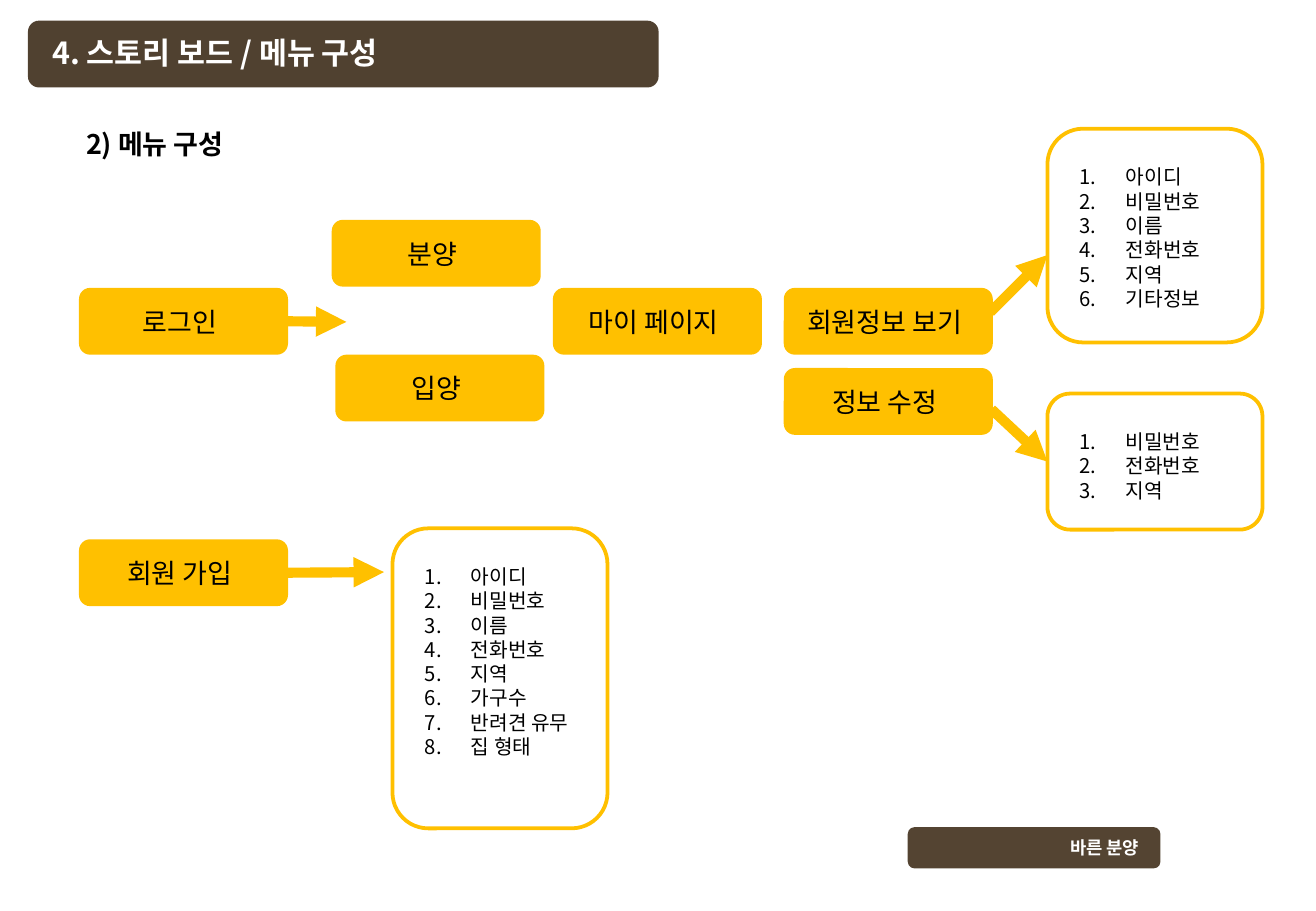
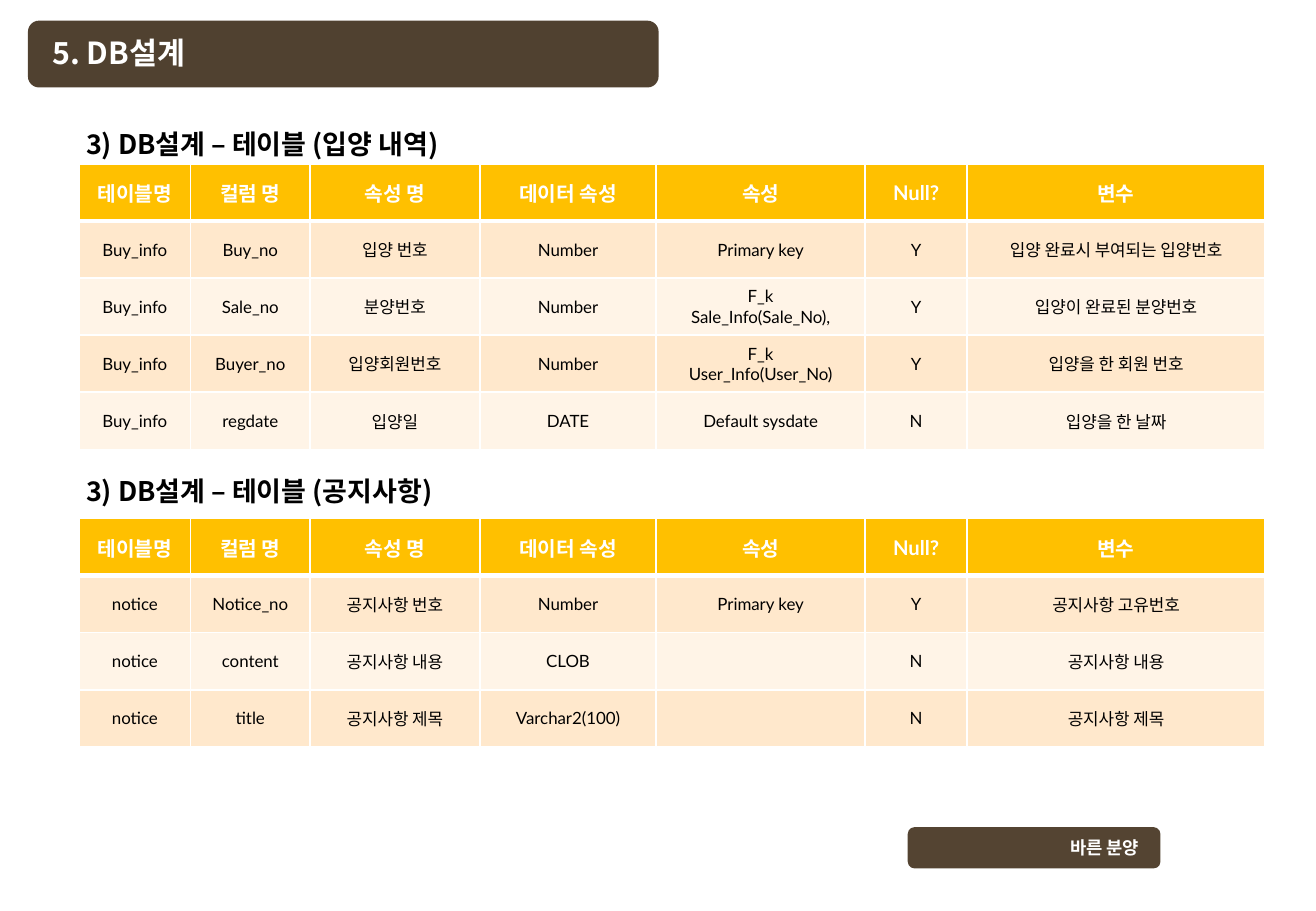
from dataclasses import dataclass

import pptx
import pptx.chart.data
import pptx.dml.color
import pptx.enum.shapes
import pptx.enum.text
import pptx.oxml.ns
import pptx.util
from lxml import etree

SHAPE = pptx.enum.shapes.MSO_SHAPE
ALIGN = pptx.enum.text.PP_ALIGN
ANCHOR = pptx.enum.text.MSO_ANCHOR
EMU_PER_PX = 9144  # 100 px to the inch


@dataclass(frozen=True)
class Theme:
    band: str = "504130"
    footer: str = "544432"
    accent: str = "FFC000"
    stripes: tuple[str, str] = ("FFE8CC", "FFF4E7")
    ink: str = "000000"
    paper: str = "FFFFFF"
    font: str = "Noto Sans CJK KR"
    table_font: str = "Lato"
    title_size: float = 18
    heading_size: float = 16
    list_size: float = 12
    header_size: float = 12
    cell_size: float = 10
    footer_size: float = 10.5


THEME = Theme()


@dataclass(frozen=True)
class Box:
    left: int
    top: int
    width: int
    height: int

    def emu(self) -> tuple[int, ...]:
        return tuple(map(px, (self.left, self.top, self.width, self.height)))


@dataclass(frozen=True)
class Menu:
    label: str
    left: int
    top: int


@dataclass(frozen=True)
class FieldList:
    box: Box
    fields: tuple[str, ...]


@dataclass(frozen=True)
class Arrow:
    """Ends joined to a shape's side are named; the others are free points."""
    start: tuple[int, int]
    end: tuple[int, int]
    from_menu: str = ""
    to_list: int = -1


@dataclass(frozen=True)
class DbTable:
    heading: str
    heading_top: int
    top: int
    rows: tuple[tuple[str, ...], ...]


BAND = Box(23, 17, 519, 55)
TITLE = Box(33, 23, 324, 40)
FOOTER = Box(747, 681, 208, 34)
MENU_SIZE = (172, 55)

MENUS = (
    Menu("로그인", 65, 237),
    Menu("회원 가입", 65, 444),
    Menu("분양", 273, 181),
    Menu("입양", 276, 292),
    Menu("마이 페이지", 455, 237),
    Menu("회원정보 보기", 645, 237),
    Menu("정보 수정", 645, 303),
)
MEMBER_FIELDS = ("아이디", "비밀번호", "이름", "전화번호", "지역")
FIELD_LISTS = (
    FieldList(Box(323, 435, 177, 247), MEMBER_FIELDS + ("가구수", "반려견 유무", "집 형태")),
    FieldList(Box(862, 106, 177, 176), MEMBER_FIELDS + ("기타정보",)),
    FieldList(Box(862, 324, 177, 112), ("비밀번호", "전화번호", "지역")),
)
ARROWS = (
    Arrow((237, 471), (316, 471), from_menu="회원 가입"),
    Arrow((815, 257), (862, 210)),
    Arrow((816, 337), (862, 380), to_list=2),
    Arrow((237, 264), (285, 265), from_menu="로그인"),
)

TABLE_LEFT = 65
ROW_HEIGHT = 47
COLUMN_WIDTHS = (92, 98, 140, 145, 172, 84, 245)
HEADER = ("테이블명", "컬럼 명", "속성 명", "데이터 속성", "속성", "Null?", "변수")
DB_TABLES = (
    DbTable("3) DB설계 – 테이블 (입양 내역)", 100, 135, (
        ("Buy_info", "Buy_no", "입양 번호", "Number", "Primary key", "Y",
         "입양 완료시 부여되는 입양번호"),
        ("Buy_info", "Sale_no", "분양번호", "Number", "F_k\nSale_Info(Sale_No),", "Y",
         "입양이 완료된 분양번호"),
        ("Buy_info", "Buyer_no", "입양회원번호", "Number", "F_k\nUser_Info(User_No)", "Y",
         "입양을 한 회원 번호"),
        ("Buy_info", "regdate", "입양일", "DATE", "Default sysdate", "N", "입양을 한 날짜"),
    )),
    DbTable("3) DB설계 – 테이블 (공지사항)", 386, 427, (
        ("notice", "Notice_no", "공지사항 번호", "Number", "Primary key", "Y", "공지사항 고유번호"),
        ("notice", "content", "공지사항 내용", "CLOB", "", "N", "공지사항 내용"),
        ("notice", "title", "공지사항 제목", "Varchar2(100)", "", "N", "공지사항 제목"),
    )),
)


def px(length: float) -> int:
    return round(length * EMU_PER_PX)


def rgb(code: str) -> pptx.dml.color.RGBColor:
    return pptx.dml.color.RGBColor.from_string(code)


def add_xml(parent, tag: str, **attributes: str):
    return etree.SubElement(parent, pptx.oxml.ns.qn(tag), attributes)


def write(frame, text: str, *, size: float, color: str = THEME.ink, bold: bool = False,
          font: str = THEME.font, align=ALIGN.LEFT, numbered: bool = False) -> None:
    """Fill a text frame, one paragraph to each line of text."""
    for index, line in enumerate(text.split("\n")):
        paragraph = frame.add_paragraph() if index else frame.paragraphs[0]
        paragraph.alignment = align
        if numbered:
            properties = paragraph._p.get_or_add_pPr()
            properties.set("marL", str(px(38)))
            properties.set("indent", str(-px(38)))
            add_xml(properties, "a:buFont", typeface=font)
            add_xml(properties, "a:buAutoNum", type="arabicPeriod")
        run = paragraph.add_run()
        run.text = line
        run.font.size = pptx.util.Pt(size)
        run.font.bold = bold
        run.font.color.rgb = rgb(color)
        run.font.name = font
        add_xml(run.font._element, "a:ea", typeface=THEME.font)


def set_frame(frame, anchor, left: int = 10, top: int = 5, right: int = 10,
              wrap: bool = True) -> None:
    frame.word_wrap = wrap
    frame.auto_size = pptx.enum.text.MSO_AUTO_SIZE.NONE
    frame.vertical_anchor = anchor
    frame.margin_left, frame.margin_top, frame.margin_right = px(left), px(top), px(right)
    frame.margin_bottom = px(5)


def add_rounded(slide, box: Box, *, fill: str = "", line: str = ""):
    shape = slide.shapes.add_shape(SHAPE.ROUNDED_RECTANGLE, *box.emu())
    shape.shadow.inherit = False
    if fill:
        shape.fill.solid()
        shape.fill.fore_color.rgb = rgb(fill)
    else:
        shape.fill.background()
    if line:
        shape.line.color.rgb = rgb(line)
        shape.line.width = pptx.util.Pt(2.25)
    else:
        shape.line.fill.background()
    return shape


def add_page(deck, title_text: str):
    """Add a slide with the title band and the footer band."""
    slide = deck.slides.add_slide(deck.slide_layouts[5])
    title = slide.shapes.title
    title.left, title.top, title.width, title.height = TITLE.emu()
    set_frame(title.text_frame, ANCHOR.MIDDLE)
    write(title.text_frame, title_text, size=THEME.title_size, color=THEME.paper, bold=True)
    band = add_rounded(slide, BAND, fill=THEME.band)
    title.element.addprevious(band.element)

    footer = add_rounded(slide, FOOTER, fill=THEME.footer)
    set_frame(footer.text_frame, ANCHOR.MIDDLE, right=16)
    write(footer.text_frame, "바른 분양", size=THEME.footer_size, color=THEME.paper,
          bold=True, align=ALIGN.RIGHT)
    return slide


def add_heading(slide, text: str, top: int, width: int = 341) -> None:
    heading = slide.shapes.add_textbox(*Box(61, top, width, 37).emu())
    set_frame(heading.text_frame, ANCHOR.TOP)
    write(heading.text_frame, text, size=THEME.heading_size, bold=True)


def add_menu(slide, menu: Menu):
    button = add_rounded(slide, Box(menu.left, menu.top, *MENU_SIZE), fill=THEME.accent)
    set_frame(button.text_frame, ANCHOR.MIDDLE, left=0, right=6)
    write(button.text_frame, menu.label, size=THEME.heading_size, align=ALIGN.CENTER)
    return button


def add_field_list(slide, field_list: FieldList):
    box = field_list.box
    frame_shape = add_rounded(slide, box, line=THEME.accent)
    corner = round(min(box.width, box.height) * 0.05)  # text inset of the round corner
    set_frame(frame_shape.text_frame, ANCHOR.TOP, left=27 - corner, top=30 - corner, right=0)
    write(frame_shape.text_frame, "\n".join(field_list.fields), size=THEME.list_size,
          numbered=True)
    return frame_shape


def add_arrow(slide, arrow: Arrow, buttons: dict, lists: list) -> None:
    connector = slide.shapes.add_connector(
        pptx.enum.shapes.MSO_CONNECTOR.STRAIGHT, *map(px, arrow.start + arrow.end))
    if arrow.from_menu:
        connector.begin_connect(buttons[arrow.from_menu], 3)
    if arrow.to_list >= 0:
        connector.end_connect(lists[arrow.to_list], 1)
    connector.line.color.rgb = rgb(THEME.accent)
    connector.line.width = pptx.util.Pt(6)
    add_xml(connector.line._get_or_add_ln(), "a:tailEnd", type="triangle")
    add_xml(connector.element.spPr, "a:effectLst")


def set_borders(cell, top: float, bottom: float) -> None:
    properties = cell._tc.get_or_add_tcPr()
    for tag, points in (("a:lnL", 1), ("a:lnR", 1), ("a:lnT", top), ("a:lnB", bottom)):
        border = add_xml(properties, tag, w=str(pptx.util.Pt(points)))
        add_xml(add_xml(border, "a:solidFill"), "a:srgbClr", val=THEME.paper)


def add_db_table(slide, db_table: DbTable) -> None:
    add_heading(slide, db_table.heading, db_table.heading_top)
    rows = (HEADER,) + db_table.rows
    box = Box(TABLE_LEFT, db_table.top, sum(COLUMN_WIDTHS), ROW_HEIGHT * len(rows))
    table = slide.shapes.add_table(len(rows), len(HEADER), *box.emu()).table
    for column, width in zip(table.columns, COLUMN_WIDTHS):
        column.width = px(width)
    for row_index, row in enumerate(rows):
        is_header = row_index == 0
        for column_index, text in enumerate(row):
            cell = table.cell(row_index, column_index)
            set_borders(cell, 3 if row_index == 1 else 1, 3 if is_header else 1)
            cell.fill.solid()
            cell.fill.fore_color.rgb = rgb(
                THEME.accent if is_header else THEME.stripes[(row_index - 1) % 2])
            cell.vertical_anchor = ANCHOR.MIDDLE
            if text:
                write(cell.text_frame, text, font=THEME.table_font, bold=is_header,
                      size=THEME.header_size if is_header else THEME.cell_size,
                      color=THEME.paper if is_header else THEME.ink, align=ALIGN.CENTER)


def main() -> None:
    deck = pptx.Presentation()
    deck.slide_width, deck.slide_height = px(1083), px(750)

    menu_page = add_page(deck, "4. 스토리 보드 / 메뉴 구성")
    add_heading(menu_page, "2) 메뉴 구성", 100, width=160)
    buttons = {menu.label: add_menu(menu_page, menu) for menu in MENUS}
    lists = [add_field_list(menu_page, field_list) for field_list in FIELD_LISTS]
    for arrow in ARROWS:
        add_arrow(menu_page, arrow, buttons, lists)

    db_page = add_page(deck, "5. DB설계")
    for db_table in DB_TABLES:
        add_db_table(db_page, db_table)

    deck.save("out.pptx")


if __name__ == "__main__":
    main()
